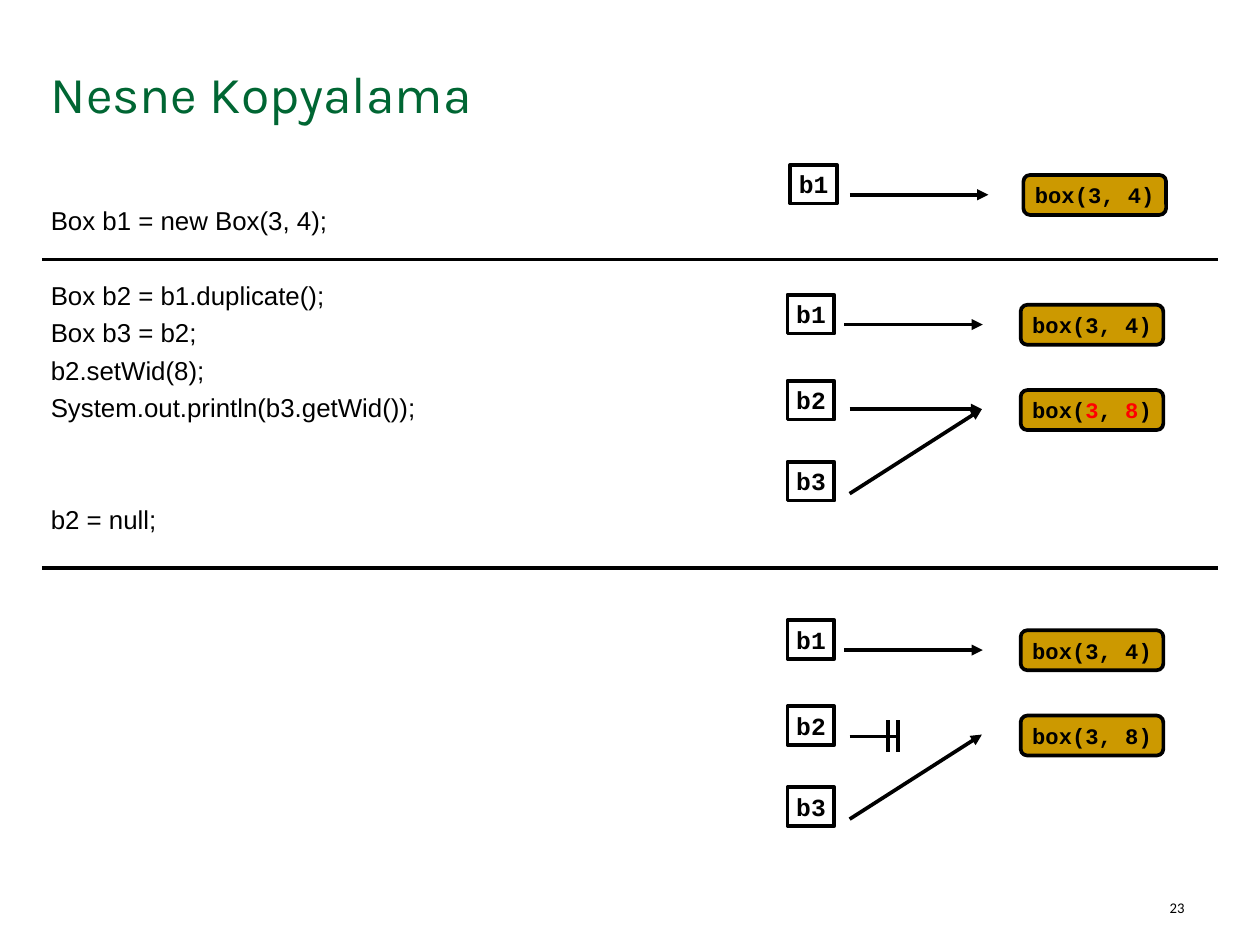
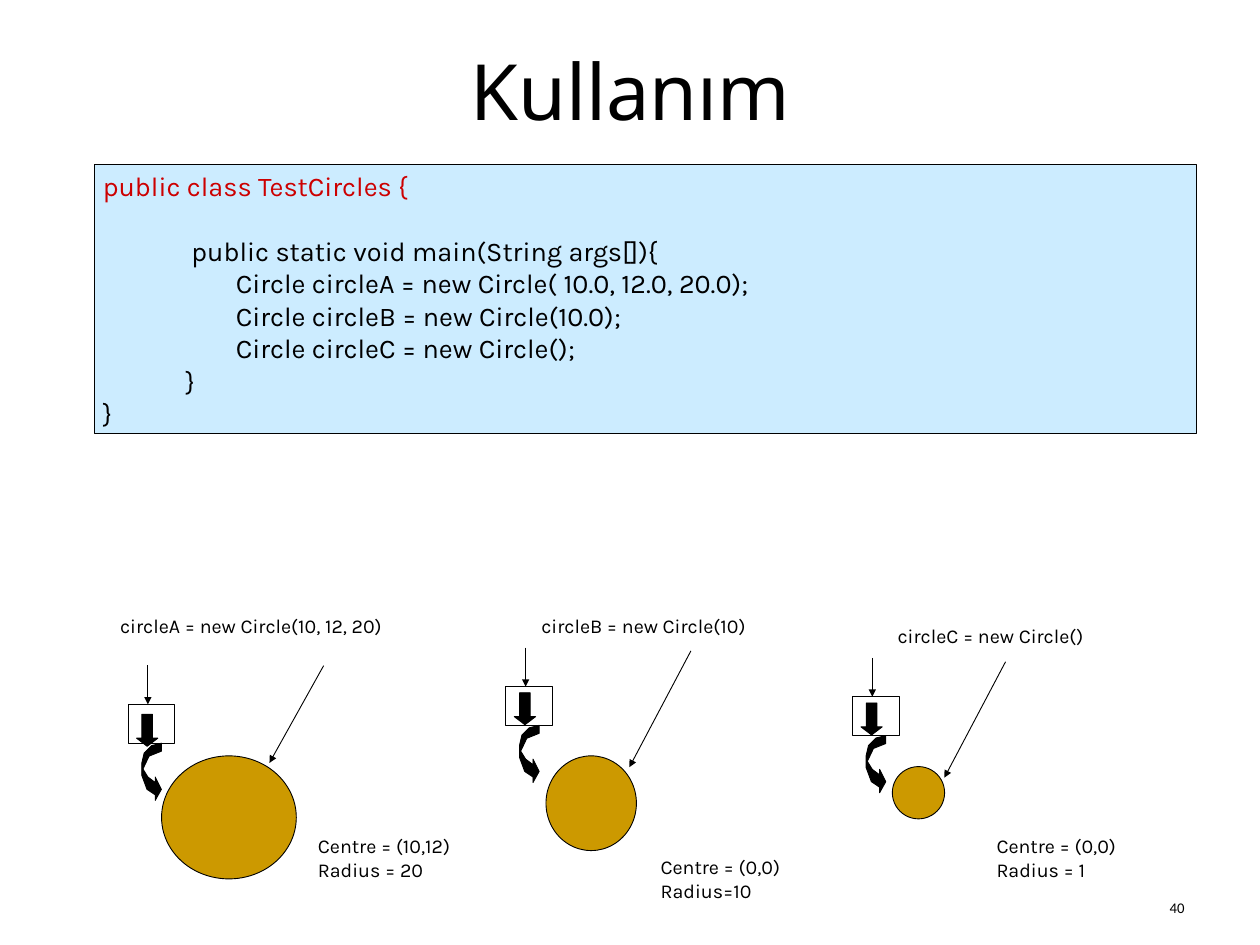
from dataclasses import dataclass
from typing import NamedTuple, Optional, Sequence

from lxml.etree import SubElement
from pptx import Presentation
from pptx.dml.color import RGBColor
from pptx.enum.shapes import MSO_CONNECTOR as Connector, MSO_SHAPE as Preset
from pptx.enum.text import MSO_ANCHOR as Anchor, MSO_AUTO_SIZE as AutoSize, PP_ALIGN as Align
from pptx.oxml.ns import qn
from pptx.shapes.autoshape import Shape
from pptx.slide import Slide
from pptx.util import Pt

BLACK = RGBColor(0x00, 0x00, 0x00)
WHITE = RGBColor(0xFF, 0xFF, 0xFF)
GREEN = RGBColor(0x00, 0x66, 0x33)
GOLD = RGBColor(0xCC, 0x99, 0x00)
RED = RGBColor(0xFF, 0x00, 0x00)
DARK_RED = RGBColor(0xCC, 0x00, 0x00)
PALE_BLUE = RGBColor(0xCC, 0xEC, 0xFF)

THICK, THIN = 3, 0.75
STATE_PITCH = 264.5


class Point(NamedTuple):
    x: float
    y: float


class Area(NamedTuple):
    left: float
    top: float
    width: float
    height: float


@dataclass(frozen=True)
class TextStyle:
    font: str
    size: float
    color: RGBColor = BLACK
    bold: bool = False


@dataclass(frozen=True)
class CodeLine:
    text: str
    space_before: float = 0
    color: RGBColor = BLACK


@dataclass(frozen=True)
class CircleFigure:
    label: str
    label_area: Area
    box: Point
    inner_arrow_drop: float
    circle: Area
    pointer_start: Point
    pointer_end: Point
    details: Sequence[str]
    details_area: Area


STATEMENT = TextStyle("Arial", 21)
REFERENCE = TextStyle("Courier New", 20, bold=True)
OBJECT = TextStyle("Courier New", 18, bold=True)
CODE = TextStyle("Karla", 22)
CAPTION = TextStyle("Karla", 16)
PAGE_NUMBER = TextStyle("Calibri", 12)

STATEMENTS = (
    CodeLine("Box b1 = new Box(3, 4);"),
    CodeLine("Box b2 = b1.duplicate();", 35.6),
    CodeLine("Box b3 = b2;", 5.2),
    CodeLine("b2.setWid(8);", 5.2),
    CodeLine("System.out.println(b3.getWid());", 5.2),
    CodeLine("b2 = null;", 66),
)

TEST_PROGRAM = (
    CodeLine("public class TestCircles {", color=DARK_RED),
    CodeLine("\t\tpublic static void main(String args[]){", 26.4),
    CodeLine("\t\t\tCircle circleA = new Circle( 10.0, 12.0, 20.0);"),
    CodeLine("\t\t\tCircle circleB = new Circle(10.0);"),
    CodeLine("\t\t\tCircle circleC = new Circle();"),
    CodeLine("\t      }"),
    CodeLine("}"),
)

HOOK_OUTLINE = (
    Point(16, 0), Point(8, 2), Point(2, 8), Point(0, 16.5), Point(0, 26),
    Point(4.3, 37.5), Point(11, 42), Point(11, 46.5), Point(16, 37.5), Point(11, 27.5),
    Point(11, 32), Point(5, 27.5), Point(1, 21), Point(6, 10.5), Point(16, 6.5),
)

CIRCLE_FIGURES = (
    CircleFigure("circleA = new Circle(10, 12, 20)", Area(84.5, 495, 239, 27),
                 Point(104, 572.5), 8, Area(131.3, 614.3, 109.5, 100),
                 Point(263, 541), Point(219, 620),
                 ("Centre = (10,12)", "Radius = 20"), Area(251.3, 674.2, 132, 46)),
    CircleFigure("circleB = new Circle(10)", Area(430, 495, 186, 27),
                 Point(411, 558), 5, Area(443.7, 614.3, 73.5, 77),
                 Point(561.5, 529), Point(511.5, 623.5),
                 ("Centre = (0,0)", "Radius=10"), Area(529.8, 691.3, 114, 46)),
    CircleFigure("circleC = new Circle()", Area(721, 503.3, 168, 27),
                 Point(692.7, 566.3), 5, Area(725.2, 623, 42.5, 42.5),
                 Point(817.2, 537.8), Point(767.5, 632),
                 ("Centre = (0,0)", "Radius = 1"), Area(802.8, 674.2, 114, 46)),
)


def to_lengths(area: Area) -> list[Pt]:
    return [Pt(value) for value in area]


def format_runs(paragraph, style: TextStyle, color: Optional[RGBColor] = None) -> None:
    for run in paragraph.runs:
        run.font.name = style.font
        run.font.size = Pt(style.size)
        run.font.bold = style.bold
        run.font.color.rgb = color or style.color


def write_text(shape: Shape, text: str, style: TextStyle, align: Align = Align.LEFT,
               anchor: Anchor = Anchor.TOP, wrap: bool = True) -> None:
    frame = shape.text_frame
    frame.text = text
    frame.word_wrap = wrap
    frame.auto_size = AutoSize.NONE
    frame.vertical_anchor = anchor
    for paragraph in frame.paragraphs:
        paragraph.alignment = align
        format_runs(paragraph, style)


def write_code(shape: Shape, lines: Sequence[CodeLine], style: TextStyle) -> None:
    """Write code lines with tab stops every half inch."""
    write_text(shape, "\n".join(line.text for line in lines), style)
    for paragraph, line in zip(shape.text_frame.paragraphs, lines):
        tab_list = SubElement(paragraph._p.get_or_add_pPr(), qn("a:tabLst"))
        for stop in range(1, 4):
            SubElement(tab_list, qn("a:tab"), pos=str(Pt(36 * stop)), algn="l")
        paragraph.space_before = Pt(line.space_before)
        format_runs(paragraph, style, line.color)


def add_text(slide: Slide, area: Area, text: str, style: TextStyle, **options) -> None:
    write_text(slide.shapes.add_textbox(*to_lengths(area)), text, style, **options)


def style_shape(shape: Shape, fill: Optional[RGBColor], line_width: float) -> None:
    shape.shadow.inherit = False
    if fill is None:
        shape.fill.background()
    else:
        shape.fill.solid()
        shape.fill.fore_color.rgb = fill
    shape.line.color.rgb = BLACK
    shape.line.width = Pt(line_width)


def add_preset(slide: Slide, preset: Preset, area: Area, fill: Optional[RGBColor],
               line_width: float = THIN) -> Shape:
    shape = slide.shapes.add_shape(preset, *to_lengths(area))
    style_shape(shape, fill, line_width)
    return shape


def add_line(slide: Slide, start: Point, end: Point, width: float = THICK,
             arrow: bool = False) -> None:
    connector = slide.shapes.add_connector(
        Connector.STRAIGHT, *[Pt(value) for value in (*start, *end)])
    connector.line.color.rgb = BLACK
    connector.line.width = Pt(width)
    if arrow:
        SubElement(connector.line._get_or_add_ln(), qn("a:tailEnd"), type="triangle")
    SubElement(connector._element.spPr, qn("a:effectLst"))


def add_titled_slide(presentation: Presentation, title: str, area: Area, style: TextStyle,
                     page: int, **options) -> Slide:
    slide = presentation.slides.add_slide(presentation.slide_layouts[5])
    placeholder = slide.shapes.title
    placeholder.left, placeholder.top, placeholder.width, placeholder.height = to_lengths(area)
    write_text(placeholder, title, style, **options)
    add_text(slide, Area(940.3, 723, 32.5, 30), str(page), PAGE_NUMBER,
             align=Align.CENTER, anchor=Anchor.MIDDLE)
    return slide


def draw_reference(slide: Slide, name: str, left: float, top: float) -> None:
    shape = add_preset(slide, Preset.RECTANGLE, Area(left, top, 38, 31.5), None, THICK)
    write_text(shape, name, REFERENCE, wrap=False)


def draw_object(slide: Slide, left: float, top: float, parts: Sequence[str]) -> None:
    """Draw an object whose label has every second part in red."""
    shape = add_preset(slide, Preset.ROUNDED_RECTANGLE, Area(left, top, 116, 32.5), GOLD, THICK)
    write_text(shape, "", OBJECT, Align.CENTER, Anchor.MIDDLE, wrap=False)
    paragraph = shape.text_frame.paragraphs[0]
    for part in parts:
        paragraph.add_run().text = part
    format_runs(paragraph, OBJECT)
    for value in paragraph.runs[1::2]:
        value.font.color.rgb = RED


def draw_b1_row(slide: Slide, left: float, top: float, arrow_left: float) -> None:
    draw_reference(slide, "b1", left, top)
    arrow_top = top + 24.3
    add_line(slide, Point(arrow_left, arrow_top), Point(arrow_left + 112.5, arrow_top), arrow=True)
    draw_object(slide, left + 189.5, top + 8.2, ("box(3, 4)",))


def draw_memory_state(slide: Slide, top: float, shared_parts: Sequence[str]) -> None:
    """Draw b1 with its own box, and b2 and b3 beside the duplicated box."""
    draw_b1_row(slide, 640, top, 686.2)
    draw_reference(slide, "b2", 640, top + 70)
    draw_reference(slide, "b3", 640, top + 135.8)
    draw_object(slide, 829.5, top + 77.5, shared_parts)
    add_line(slide, Point(690.5, top + 161.7), Point(798, top + 93), arrow=True)


def build_copy_slide(presentation: Presentation) -> None:
    slide = add_titled_slide(presentation, "Nesne Kopyalama", Area(34, 37, 955, 77),
                             TextStyle("Karla", 42, GREEN), 23, anchor=Anchor.MIDDLE)
    statements = slide.shapes.add_textbox(*to_lengths(Area(34.2, 163, 582, 580)))
    write_code(statements, STATEMENTS, STATEMENT)
    for divider_top in (211, 461.5):
        add_line(slide, Point(34, divider_top), Point(990, divider_top))

    draw_b1_row(slide, 642.2, 134, 690.7)
    shared_top = 239.5
    null_top = shared_top + STATE_PITCH
    draw_memory_state(slide, shared_top, ("box(", "3", ", ", "8", ")"))
    add_line(slide, Point(690.5, shared_top + 93), Point(798, shared_top + 93), arrow=True)

    draw_memory_state(slide, null_top, ("box(3, 8)",))
    add_line(slide, Point(690.5, null_top + 94.5), Point(730, null_top + 94.5))
    for bar_left in (721.5, 730):
        add_line(slide, Point(bar_left, null_top + 81.5), Point(bar_left, null_top + 107.5))


def draw_hook_arrow(slide: Slide, left: float, top: float) -> None:
    corners = [(Pt(left + point.x), Pt(top + point.y)) for point in HOOK_OUTLINE]
    builder = slide.shapes.build_freeform(*corners[0])
    builder.add_line_segments(corners[1:], close=True)
    style_shape(builder.convert_to_shape(), BLACK, THIN)


def draw_circle_figure(slide: Slide, figure: CircleFigure) -> None:
    left, top = figure.box
    add_preset(slide, Preset.RECTANGLE, Area(left, top, 38, 31.5), WHITE)
    draw_hook_arrow(slide, left + 11.2, top + 31.5)
    add_preset(slide, Preset.OVAL, figure.circle, GOLD)
    add_line(slide, Point(left + 16.2, top - 31.7), Point(left + 16.2, top), THIN, arrow=True)
    add_line(slide, figure.pointer_start, figure.pointer_end, THIN, arrow=True)
    add_text(slide, figure.label_area, figure.label, CAPTION, align=Align.CENTER, wrap=False)
    add_text(slide, figure.details_area, "\n".join(figure.details), CAPTION, wrap=False)
    inner_arrow = add_preset(slide, Preset.DOWN_ARROW,
                             Area(left + 7, top + figure.inner_arrow_drop, 17.3, 26), BLACK)
    inner_arrow.adjustments[1] = 0.38


def build_usage_slide(presentation: Presentation) -> None:
    slide = add_titled_slide(presentation, "Kullanım", Area(51, 31, 922, 118),
                             TextStyle("Noto Sans", 63), 40, align=Align.CENTER)
    program = add_preset(slide, Preset.RECTANGLE, Area(76.5, 134, 895.5, 218.7), PALE_BLUE)
    write_code(program, TEST_PROGRAM, CODE)
    for figure in CIRCLE_FIGURES:
        draw_circle_figure(slide, figure)


def main() -> None:
    presentation = Presentation()
    presentation.slide_width, presentation.slide_height = Pt(1024), Pt(768)
    build_copy_slide(presentation)
    build_usage_slide(presentation)
    presentation.save("out.pptx")


if __name__ == "__main__":
    main()
